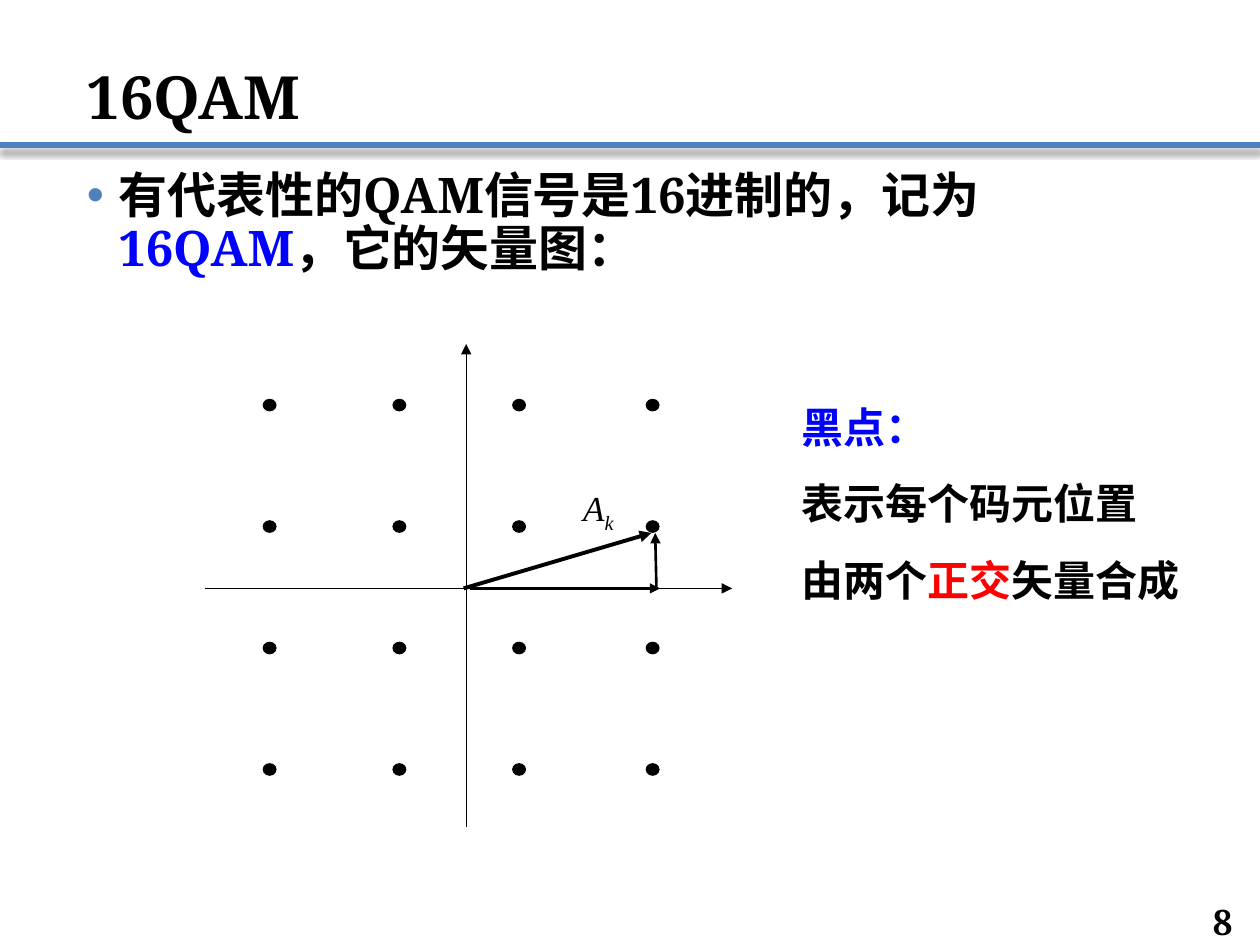
from dataclasses import dataclass
from itertools import product

from lxml.etree import SubElement
from pptx import Presentation
from pptx.dml.color import RGBColor
from pptx.enum.shapes import MSO_CONNECTOR, MSO_SHAPE
from pptx.enum.text import MSO_ANCHOR, MSO_AUTO_SIZE, PP_ALIGN
from pptx.oxml.ns import qn
from pptx.util import Inches, Pt

BLACK, BLUE, RED, STEEL = "000000", "0000FF", "FF0000", "4F81BD"
SERIF = "Noto Serif"


@dataclass
class Line:
    start: tuple[float, float]
    end: tuple[float, float]
    width: float
    color: str = BLACK
    arrow: bool = True


@dataclass
class Part:
    text: str
    color: str = BLACK
    base: int = 0


def paint(target, color: str) -> None:
    target.rgb = RGBColor.from_string(color)


def place(shape, left: float, top: float, width: float, height: float) -> None:
    shape.left, shape.top = Inches(left), Inches(top)
    shape.width, shape.height = Inches(width), Inches(height)


def write(para, parts: list[Part], size: float, face: str,
          bold: bool = True, italic: bool = False) -> None:
    font = para.font
    font.name, font.size = face, Pt(size)
    font.bold, font.italic = bold, italic
    for part in parts:
        run = para.add_run()
        run.text = part.text
        paint(run.font.color, part.color)
        if part.base:
            run.font._element.set("baseline", str(part.base * 1000))


def add_box(shapes, *area: float):
    box = shapes.add_textbox(*map(Inches, area))
    box.text_frame.word_wrap = True
    return box


def draw_line(shapes, line: Line):
    """Draw a straight line and return its empty effect list."""
    ends = map(Inches, (*line.start, *line.end))
    link = shapes.add_connector(MSO_CONNECTOR.STRAIGHT, *ends)
    link.line.width = Pt(line.width)
    paint(link.line.color, line.color)
    if line.arrow:
        SubElement(link.line._get_or_add_ln(), qn("a:tailEnd"), type="triangle")
    return SubElement(link._element.spPr, qn("a:effectLst"))


def draw_dot(shapes, left: float, top: float) -> None:
    dot = shapes.add_shape(MSO_SHAPE.OVAL, *map(Inches, (left, top, 0.1, 0.09)))
    dot.shadow.inherit = False
    dot.fill.solid()
    paint(dot.fill.fore_color, BLACK)
    dot.line.width = Pt(0.75)
    paint(dot.line.color, BLACK)


def add_note(shapes, area: tuple, rows: list[list[Part]], gap: float) -> None:
    note = add_box(shapes, *area)
    note.fill.solid()
    paint(note.fill.fore_color, "FFFFFF")
    frame = note.text_frame
    for i, row in enumerate(rows):
        para = frame.add_paragraph() if i else frame.paragraphs[0]
        para.line_spacing = gap
        write(para, row, 24, "Arial")


def main() -> None:
    deck = Presentation()
    deck.slide_width, deck.slide_height = Inches(10), Inches(7.5)
    slide = deck.slides.add_slide(deck.slide_layouts[1])
    shapes = slide.shapes

    # Rule under the title, with a soft shadow
    rule = Line((0, 1.15), (10, 1.15), 3, STEEL, False)
    shade = SubElement(draw_line(shapes, rule), qn("a:outerShdw"),
                       blurRad=str(Pt(4)), dist=str(Pt(3)), dir="5400000",
                       algn="t", rotWithShape="0")
    tone = SubElement(shade, qn("a:srgbClr"), val=BLACK)
    SubElement(tone, qn("a:alpha"), val="43000")

    # Title
    title = shapes.title
    place(title, 0.59, 0.21, 8.82, 0.89)
    title.text_frame.vertical_anchor = MSO_ANCHOR.BOTTOM
    head = title.text_frame.paragraphs[0]
    head.alignment, head.line_spacing = PP_ALIGN.LEFT, 0.9
    write(head, [Part("16QAM")], 34, SERIF)

    # Bullet
    body = slide.placeholders[1]
    place(body, 0.59, 1.31, 8.82, 5.51)
    body.text_frame.auto_size = MSO_AUTO_SIZE.NONE
    point = body.text_frame.paragraphs[0]
    props = point._p.get_or_add_pPr()
    props.set("marL", str(Inches(0.25)))
    props.set("indent", str(Inches(-0.25)))
    SubElement(SubElement(props, qn("a:buClr")), qn("a:srgbClr"), val=STEEL)
    SubElement(props, qn("a:buFont"), typeface="Arial")
    SubElement(props, qn("a:buChar"), char="•")
    point.space_before, point.line_spacing = Pt(18), 0.9
    write(point, [Part("有代表性的QAM信号是16进制的，记为"),
                  Part("16QAM", BLUE), Part("，它的矢量图：")], 28, SERIF)

    # Page number
    page = add_box(shapes, 9.19, 7.17, 0.69, 0.28).text_frame
    page.vertical_anchor = MSO_ANCHOR.MIDDLE
    page.paragraphs[0].alignment = PP_ALIGN.RIGHT
    write(page.paragraphs[0], [Part("8")], 20, SERIF)

    # Vector diagram: label, axes and vectors, then the 4 by 4 points
    plot = shapes.add_group_shape().shapes
    label = add_box(plot, 4.53, 3.81, 0.54, 0.59).text_frame.paragraphs[0]
    label.alignment = PP_ALIGN.JUSTIFY
    write(label, [Part("A"), Part("k", base=-25)], 20, "Times New Roman",
          bold=False, italic=True)
    for line in (
        Line((3.73, 4.67), (5.24, 4.67), 1.5),
        Line((1.63, 4.67), (5.81, 4.67), 0.75),
        Line((3.7, 6.56), (3.7, 2.73), 0.75),
        Line((3.68, 4.67), (5.17, 4.23), 2.25),
        Line((5.21, 4.67), (5.2, 4.23), 1.5),
    ):
        draw_line(plot, line)
    for left, row in product((2.09, 3.12, 4.07, 5.13), range(4)):
        draw_dot(plot, left, 3.17 + row * 0.964)

    # Notes beside the diagram
    add_note(shapes, (6.26, 2.94, 3.55, 1.31),
             [[Part("黑点：", BLUE)], [Part("表示每个码元位置")]], 1.5)
    add_note(shapes, (6.26, 4.35, 3.49, 0.5),
             [[Part("由两个"), Part("正交", RED), Part("矢量合成")]], 1)

    deck.save("out.pptx")


if __name__ == "__main__":
    main()
